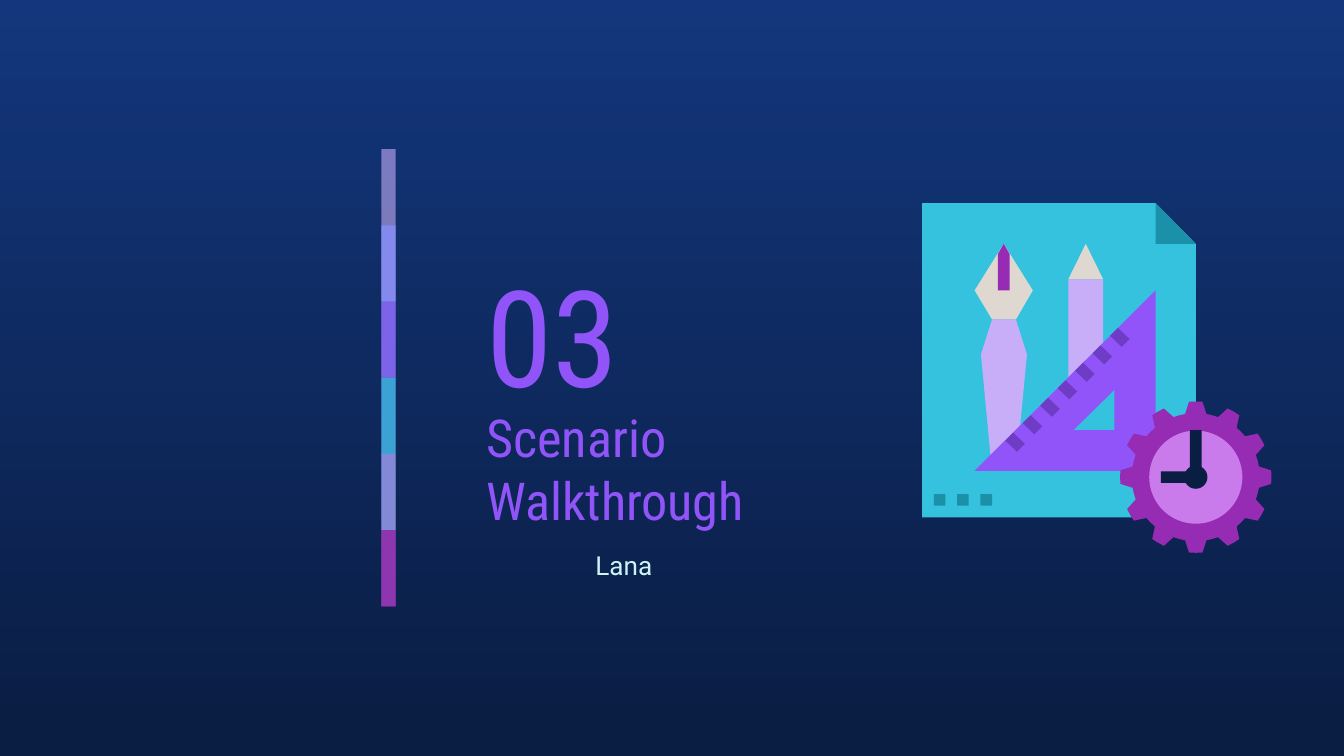
import math

from lxml import etree
from pptx import Presentation
from pptx import util as u
from pptx.dml.color import RGBColor
from pptx.enum import shapes, text
from pptx.oxml import ns

SKY = RGBColor(0x13, 0x36, 0x7C)
NIGHT = RGBColor(0x0A, 0x1D, 0x42)
VIOLET = RGBColor(0x91, 0x54, 0xF8)
DARK_VIOLET = RGBColor(0x6F, 0x3C, 0xC6)
LILAC = RGBColor(0xC8, 0xAE, 0xF8)
PERIWINKLE = RGBColor(0x87, 0x8F, 0xFF)
CYAN = RGBColor(0x35, 0xC2, 0xDF)
TEAL = RGBColor(0x1B, 0x91, 0xA9)
ORCHID = RGBColor(0xCA, 0x7B, 0xEB)
PURPLE = RGBColor(0x97, 0x2C, 0xB4)
SAND = RGBColor(0xDE, 0xD8, 0xD0)
ICE = RGBColor(0xCE, 0xF3, 0xF5)

HEADING_FONT = "Roboto Condensed"
BODY_FONT = "Roboto"


class SectionSlide:
    """Holds the style and the slide; all measures are in centimetres."""

    def __init__(self, slide):
        self.slide = slide
        self.layer = slide.shapes

    def background(self, top, bottom):
        fill = self.slide.background.fill
        fill.gradient()
        fill.gradient_angle = 270
        for stop, color in zip(fill.gradient_stops, (top, bottom)):
            stop.color.rgb = color

    def start_group(self):
        """Send the shapes that follow into a new group."""
        self.layer = self.slide.shapes.add_group_shape().shapes

    def paint(self, shape, color, opacity=100):
        shape.shadow.inherit = False
        shape.line.fill.background()
        shape.fill.solid()
        shape.fill.fore_color.rgb = color
        if opacity < 100:
            solid_fill = shape.element.spPr.find(ns.qn("a:solidFill"))
            etree.SubElement(solid_fill[0], ns.qn("a:alpha"),
                             val=str(opacity * 1000))

    def rectangle(self, left, top, width, height, color, opacity=100):
        box = [u.Cm(v) for v in (left, top, width, height)]
        bar = self.layer.add_shape(shapes.MSO_SHAPE.RECTANGLE, *box)
        self.paint(bar, color, opacity)

    def circle(self, center, radius, color):
        x, y = center
        box = [u.Cm(v) for v in (x - radius, y - radius, 2 * radius, 2 * radius)]
        self.paint(self.layer.add_shape(shapes.MSO_SHAPE.OVAL, *box), color)

    def outline(self, color, *contours):
        """Draw one filled freeform from closed contours."""
        first, *others = [[(u.Cm(x), u.Cm(y)) for x, y in c] for c in contours]
        builder = self.layer.build_freeform(*first[0])
        builder.add_line_segments(first[1:], close=True)
        for contour in others:
            builder.move_to(*contour[0])
            builder.add_line_segments(contour[1:], close=True)
        self.paint(builder.convert_to_shape(), color)

    def set_text(self, holder, box, words, size, font, color,
                 anchor=text.MSO_ANCHOR.MIDDLE, space_after=0):
        holder.left, holder.top, holder.width, holder.height = map(u.Cm, box)
        frame = holder.text_frame
        frame.word_wrap = True
        frame.auto_size = text.MSO_AUTO_SIZE.NONE
        frame.vertical_anchor = anchor
        frame.margin_left = frame.margin_right = u.Cm(0.25)
        frame.margin_top = frame.margin_bottom = u.Cm(0.25)
        paragraph = frame.paragraphs[0]
        paragraph.alignment = text.PP_ALIGN.LEFT
        paragraph.space_before = u.Pt(0)
        paragraph.space_after = u.Pt(space_after)
        run = paragraph.add_run()
        run.text = words
        run.font.size = u.Pt(size)
        run.font.name = font
        run.font.color.rgb = color


def gear_contour(center, outer, root, teeth=12):
    x, y = center
    pitch = 360 / teeth
    corners = ((-9.6, root), (-5.1, outer), (0, outer), (5.1, outer),
               (9.6, root), (pitch / 2, root))
    return [(x + radius * math.sin(math.radians(tooth * pitch + turn)),
             y - radius * math.cos(math.radians(tooth * pitch + turn)))
            for tooth in range(teeth) for turn, radius in corners]


def draw_color_bar(page):
    top, step, bottom = 2.82, 1.44, 11.47
    bands = [(LILAC, 59), (PERIWINKLE, 74), (VIOLET, 53),
             (CYAN, 76), (ORCHID, 56), (PURPLE, 74)]
    page.start_group()
    for i, (color, opacity) in enumerate(bands):
        band_top = top + i * step
        height = min(2 * step, bottom - band_top)
        page.rectangle(7.21, band_top, 0.27, height, color, opacity)


def draw_design_icon(page):
    page.start_group()
    # Sheet with folded corner
    page.outline(CYAN, [(17.43, 3.84), (17.43, 9.78), (22.6, 9.78),
                        (22.6, 4.61), (21.84, 3.84)])
    page.outline(TEAL, [(21.84, 3.84), (21.84, 4.61), (22.6, 4.61)])
    for i in range(3):
        page.rectangle(17.65 + 0.44 * i, 9.34, 0.22, 0.22, TEAL)

    # Pencil
    page.outline(SAND, [(20.52, 4.61), (20.19, 5.28), (20.85, 5.28)])
    page.outline(LILAC, [(20.19, 5.28), (20.19, 7.14), (20.85, 6.48),
                         (20.85, 5.28)])
    # Fountain pen
    page.outline(SAND, [(18.97, 4.61), (18.42, 5.49), (18.75, 6.04),
                        (19.2, 6.04), (19.52, 5.49)])
    page.outline(LILAC, [(18.75, 6.04), (18.54, 6.7), (18.72, 8.61),
                         (19.28, 8.05), (19.41, 6.7), (19.2, 6.04)])
    page.outline(PURPLE, [(18.97, 4.61), (18.86, 4.8), (18.86, 5.49),
                          (19.08, 5.49), (19.08, 4.8)])

    # Set square with ruler marks
    page.outline(VIOLET, [(21.84, 5.49), (18.42, 8.9), (21.84, 8.9)],
                 [(21.06, 7.37), (21.06, 8.13), (20.29, 8.13)])
    mark = [(19.15, 8.18), (19, 8.33), (19.22, 8.54), (19.37, 8.39)]
    for i in range(7):
        shift = 0.33 * i
        page.outline(DARK_VIOLET, [(x + shift, y - shift) for x, y in mark])

    # Gear clock
    clock = (22.6, 9.02)
    page.outline(PURPLE, gear_contour(clock, 1.43, 1.21))
    page.circle(clock, 0.88, ORCHID)
    page.outline(NIGHT, [(22.49, 8.13), (22.49, 8.91), (21.94, 8.91),
                         (21.94, 9.13), (22.71, 9.13), (22.71, 8.13)])
    page.circle(clock, 0.22, NIGHT)


def main():
    deck = Presentation()
    deck.slide_width, deck.slide_height = u.Cm(25.4), u.Cm(14.29)
    slide = deck.slides.add_slide(deck.slide_layouts[0])
    page = SectionSlide(slide)
    page.background(SKY, NIGHT)
    draw_color_bar(page)

    number_box = (8.94, 4.6, 4.45, 3.43)
    number = slide.shapes.add_textbox(*map(u.Cm, number_box))
    page.set_text(number, number_box, "03", 72, HEADING_FONT, VIOLET)
    page.set_text(slide.shapes.title, (8.94, 8, 7.29, 1.7),
                  "Scenario Walkthrough", 28, HEADING_FONT, VIOLET)
    draw_design_icon(page)
    page.set_text(slide.placeholders[1], (11, 10.13, 6.43, 1.75), "Lana", 14,
                  BODY_FONT, ICE, text.MSO_ANCHOR.TOP, space_after=16)
    deck.save("out.pptx")


if __name__ == "__main__":
    main()
